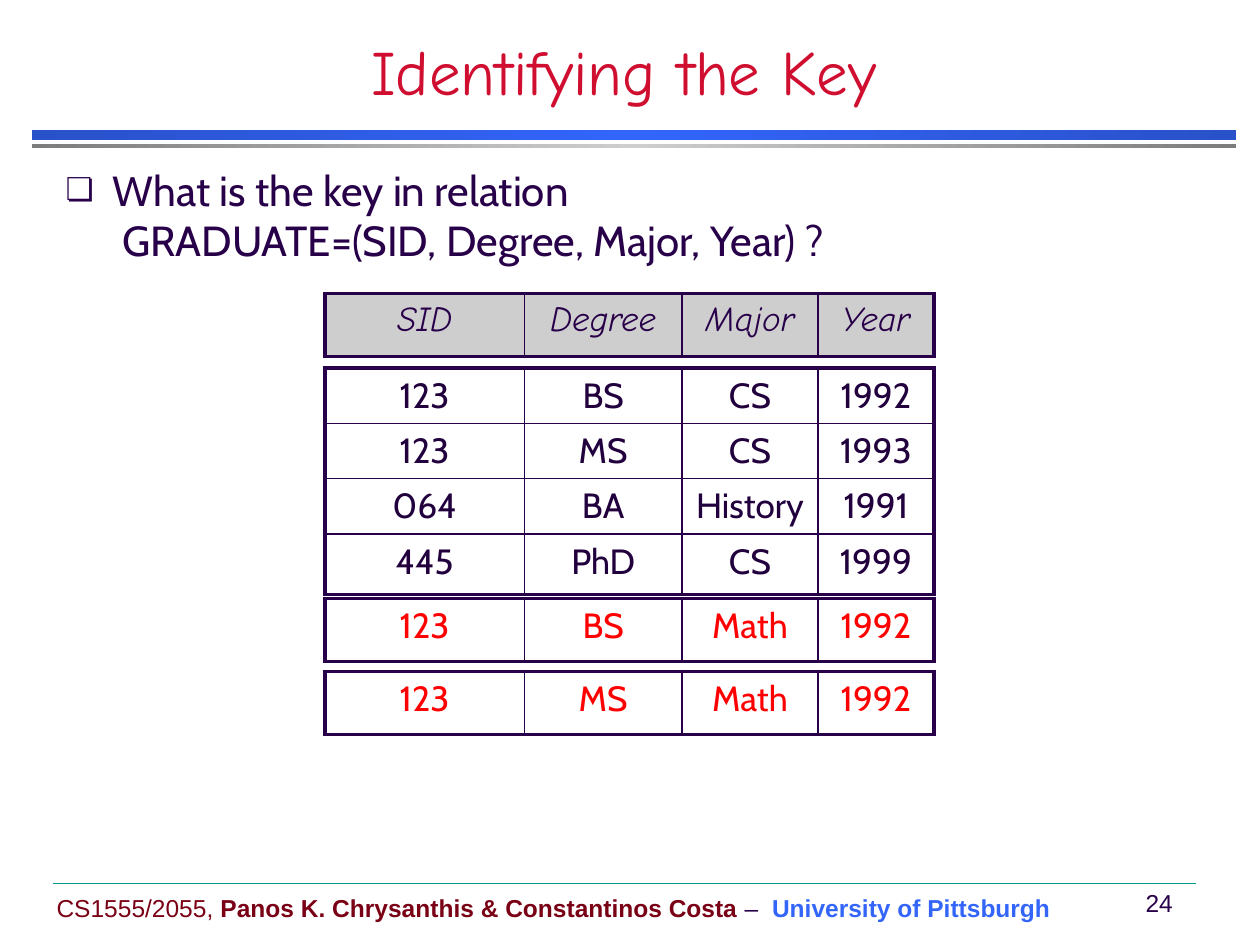
from dataclasses import dataclass

from copy import deepcopy
from lxml.etree import SubElement
from pptx import Presentation
from pptx.dml.color import RGBColor
from pptx.enum.shapes import MSO_CONNECTOR, MSO_SHAPE
from pptx.enum.text import MSO_ANCHOR, MSO_AUTO_SIZE, PP_ALIGN
from pptx.oxml.ns import qn
from pptx.util import Cm, Pt

INK = "280049"
CELL_INK = "21003D"
RED = "FF0000"
BLUE = "3365FB"
MAROON = "790015"
GREY = "CECECE"

TABLE_LEFT = 6.55
COLUMN_WIDTHS = (4.02, 3.18, 2.74, 2.34)


@dataclass
class Bar:
    top: float
    height: float
    edge: str
    middle: str


@dataclass
class Relation:
    top: float
    row_heights: tuple[float, ...]
    rows: list[tuple[str, ...]]
    color: str
    font: str = "Cabin"
    italic: bool = False
    fill: str | None = None


BARS = [
    Bar(2.62, 0.2, "2951C9", BLUE),
    Bar(2.9, 0.08, "7C7C7C", GREY),
]

RELATIONS = [
    Relation(7.42, (1.09, 1.09, 1.09, 1.22), [
        ("123", "BS", "CS", "1992"),
        ("123", "MS", "CS", "1993"),
        ("064", "BA", "History", "1991"),
        ("445", "PhD", "CS", "1999"),
    ], CELL_INK),
    Relation(5.92, (1.27,), [("SID", "Degree", "Major", "Year")],
             INK, "Comic Neue", True, GREY),
    Relation(12.07, (1.27,), [("123", "BS", "Math", "1992")], RED),
    Relation(13.54, (1.27,), [("123", "MS", "Math", "1992")], RED),
]


def rgb(color: str) -> RGBColor:
    return RGBColor.from_string(color)


def format_font(font, color: str, **values) -> None:
    font.color.rgb = rgb(color)
    for name, value in values.items():
        setattr(font, name, value)


def place(shape, left: float, top: float, width: float, height: float) -> None:
    box = {"left": left, "top": top, "width": width, "height": height}
    for name, value in box.items():
        setattr(shape, name, Cm(value))


def draw_bar(slide, bar: Bar) -> None:
    shape = slide.shapes.add_shape(
        MSO_SHAPE.RECTANGLE, Cm(0.64), Cm(bar.top), Cm(24.28), Cm(bar.height))
    shape.shadow.inherit = False
    shape.line.fill.background()
    shape.fill.gradient()
    shape.fill.gradient_angle = 0
    stop_list = next(shape._element.iter(qn("a:gsLst")))
    stop_list.insert(1, deepcopy(stop_list[0]))
    colors = (bar.edge, bar.middle, bar.edge)
    for index, (stop, color) in enumerate(zip(shape.fill.gradient_stops, colors)):
        stop.position = index / 2
        stop.color.rgb = rgb(color)


def draw_border(cell, side: str, width: float) -> None:
    line = SubElement(cell._tc.get_or_add_tcPr(), qn(f"a:ln{side}"), w=str(Pt(width)))
    solid = SubElement(line, qn("a:solidFill"))
    SubElement(solid, qn("a:srgbClr"), val=INK)


def draw_relation(slide, relation: Relation) -> None:
    last_row, last_column = len(relation.rows) - 1, len(COLUMN_WIDTHS) - 1
    table = slide.shapes.add_table(
        last_row + 1, last_column + 1, Cm(TABLE_LEFT), Cm(relation.top),
        Cm(sum(COLUMN_WIDTHS)), Cm(sum(relation.row_heights))).table
    table.first_row = table.horz_banding = False
    for column, width in zip(table.columns, COLUMN_WIDTHS):
        column.width = Cm(width)
    for r, values in enumerate(relation.rows):
        table.rows[r].height = Cm(relation.row_heights[r])
        for c, value in enumerate(values):
            cell = table.cell(r, c)
            # Heavy outer frame, thin inner rules
            outer = {"L": c == 0, "R": c == last_column, "T": r == 0, "B": r == last_row}
            for side, is_outer in outer.items():
                draw_border(cell, side, 2.25 if is_outer else 1)
            if relation.fill:
                cell.fill.solid()
                cell.fill.fore_color.rgb = rgb(relation.fill)
            else:
                cell.fill.background()
            cell.text = value
            paragraph = cell.text_frame.paragraphs[0]
            paragraph.alignment = PP_ALIGN.CENTER
            format_font(paragraph.runs[0].font, relation.color, size=Pt(20),
                        name=relation.font, italic=relation.italic, bold=False)


def draw_footer_text(slide, box: tuple[float, ...], anchor: MSO_ANCHOR,
                     alignment: PP_ALIGN, parts: list[tuple[str, str, bool]]) -> None:
    frame = slide.shapes.add_textbox(*map(Cm, box)).text_frame
    frame.word_wrap = False
    frame.vertical_anchor = anchor
    paragraph = frame.paragraphs[0]
    paragraph.alignment = alignment
    for text, color, bold in parts:
        run = paragraph.add_run()
        run.text = text
        format_font(run.font, color, size=Pt(14), name="Arial", bold=bold)


def fill_title(title) -> None:
    place(title, 0, 0.84, 25.15, 1.47)
    frame = title.text_frame
    frame.text = "Identifying the Key"
    frame.auto_size = MSO_AUTO_SIZE.NONE
    frame.vertical_anchor = MSO_ANCHOR.BOTTOM
    frame.paragraphs[0].alignment = PP_ALIGN.CENTER
    format_font(frame.paragraphs[0].runs[0].font, "CF0E30", size=Pt(36), name="Comic Neue")


def fill_question(question) -> None:
    place(question, 1.07, 3.18, 21.59, 2.74)
    frame = question.text_frame
    frame.text = "What is the key in relation\v GRADUATE=(SID, Degree, Major, Year) ?"
    frame.auto_size = MSO_AUTO_SIZE.NONE
    paragraph = frame.paragraphs[0]
    paragraph.space_before = Pt(0)
    properties = paragraph._p.get_or_add_pPr()
    properties.set("marL", str(Cm(0.95)))
    properties.set("indent", str(-Cm(0.95)))
    bullet_color = SubElement(properties, qn("a:buClr"))
    SubElement(bullet_color, qn("a:srgbClr"), val=INK)
    SubElement(properties, qn("a:buSzPct"), val="75000")
    SubElement(properties, qn("a:buChar"), char="❏")
    for run in paragraph.runs:
        format_font(run.font, INK, size=Pt(24), name="Cabin")


def draw_footer(slide) -> None:
    draw_footer_text(slide, (0.89, 17.27, 20.6, 1.45), MSO_ANCHOR.BOTTOM, PP_ALIGN.LEFT, [
        ("CS1555/2055, ", MAROON, False),
        ("Panos K. Chrysanthis & Constantinos Costa ", MAROON, True),
        ("–  ", INK, False),
        ("University of Pittsburgh", BLUE, True),
    ])
    draw_footer_text(slide, (22.68, 17.78, 1.24, 0.84), MSO_ANCHOR.MIDDLE,
                     PP_ALIGN.CENTER, [(" 24", INK, False)])
    rule = slide.shapes.add_connector(
        MSO_CONNECTOR.STRAIGHT, Cm(1.07), Cm(17.81), Cm(24.1), Cm(17.81))
    rule.line.color.rgb = rgb("009688")
    rule.line.width = Pt(0.25)
    SubElement(rule._element.spPr, qn("a:effectLst"))


def main() -> None:
    presentation = Presentation()
    presentation.slide_width, presentation.slide_height = Cm(25.4), Cm(19.05)
    slide = presentation.slides.add_slide(presentation.slide_layouts[1])

    # Heading and question
    for bar in BARS:
        draw_bar(slide, bar)
    fill_title(slide.shapes.title)
    fill_question(slide.placeholders[1])

    # Relation instance with the added rows
    for relation in RELATIONS:
        draw_relation(slide, relation)

    draw_footer(slide)
    presentation.save("out.pptx")


if __name__ == "__main__":
    main()
